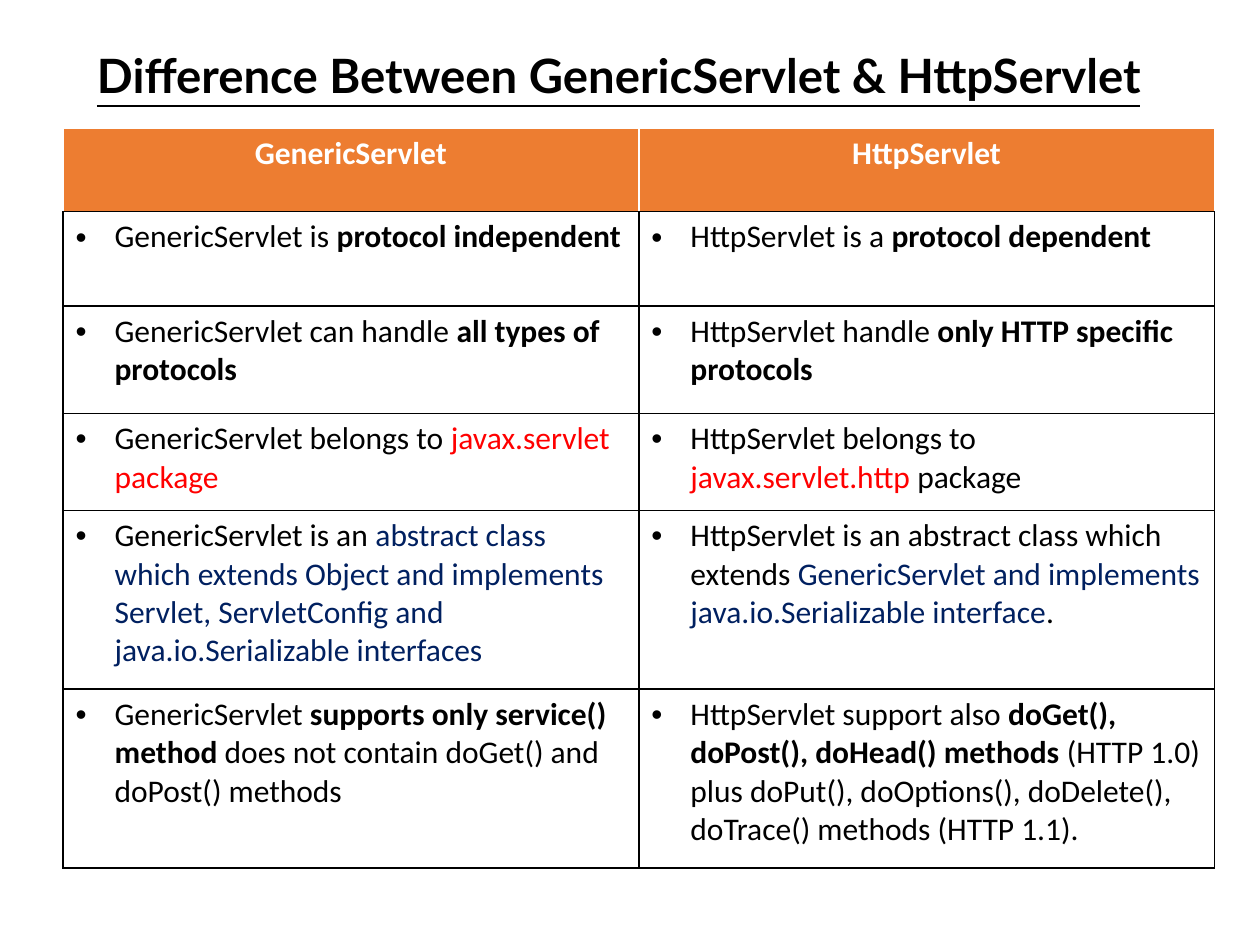
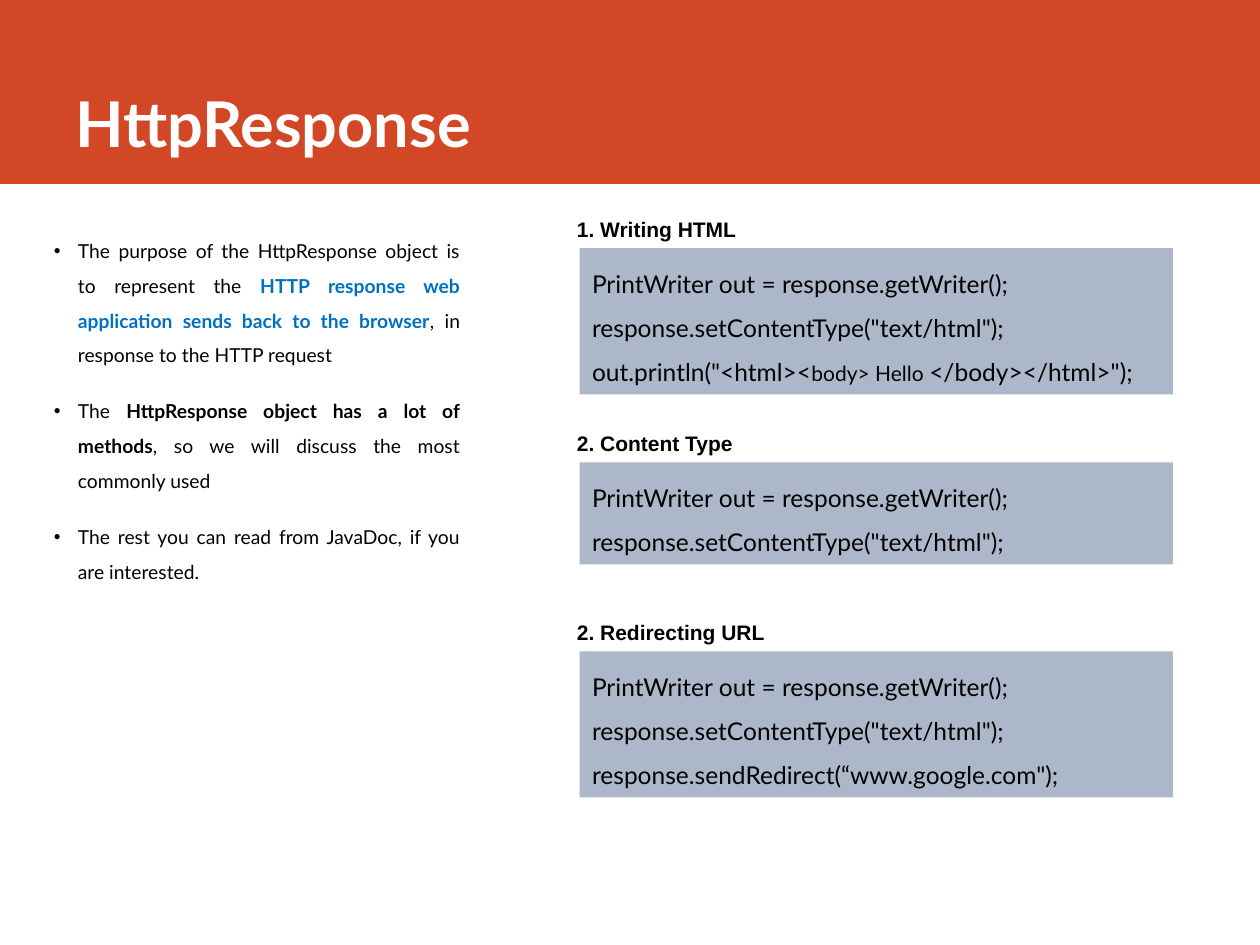
"""Build two slides on servlet classes and the HttpResponse object."""
from lxml.etree import SubElement
from pptx import Presentation
from pptx.dml.color import RGBColor
from pptx.enum.shapes import MSO_SHAPE as Shape
from pptx.enum.text import MSO_ANCHOR as Anchor, PP_ALIGN as Align
from pptx.oxml.ns import qn
from pptx.util import Inches, Pt

COLORS = {
    "black": "000000", "white": "FFFFFF", "header": "ED7D31", "band": "D24726",
    "code": "ACB8CA", "red": "FF0000", "navy": "002060", "blue": "0070C0",
}
STYLES = {
    "bold": {"bold": True},
    "red": {"color": "red"},
    "navy": {"color": "navy"},
    "key": {"color": "blue", "bold": True},
    "small": {"size": 12},
}

COMPARISON_TITLE = "Difference Between GenericServlet & HttpServlet"
COMPARISON_HEADER = ["GenericServlet", "HttpServlet"]
COMPARISON_ROWS = [
    ([("GenericServlet is ",), ("protocol independent", "bold")],
     [("HttpServlet is a ",), ("protocol dependent", "bold")]),
    ([("GenericServlet can handle ",), ("all types of protocols", "bold")],
     [("HttpServlet handle ",), ("only HTTP specific protocols", "bold")]),
    ([("GenericServlet belongs to ",), ("javax.servlet package", "red")],
     [("HttpServlet belongs to ",), ("javax.servlet.http ", "red"), ("package",)]),
    ([("GenericServlet is an ",),
      ("abstract class which extends Object and implements Servlet, "
       "ServletConfig and java.io.Serializable interfaces", "navy")],
     [("HttpServlet is an abstract class which extends ",),
      ("GenericServlet and implements java.io.Serializable interface", "navy"), (".",)]),
    ([("GenericServlet ",), ("supports only service() method ", "bold"),
      ("does not contain doGet() and doPost() methods",)],
     [("HttpServlet support also ",), ("doGet(), doPost(), doHead() methods ", "bold"),
      ("(HTTP 1.0) plus doPut(), doOptions(), doDelete(), doTrace() methods (HTTP 1.1).",)]),
]
ROW_HEIGHTS = [0.66, 0.75, 0.85, 0.77, 1.42, 1.42]
COLUMN_WIDTH = 4.57

RESPONSE_TITLE = "HttpResponse"
RESPONSE_POINTS = [
    [("The purpose of the HttpResponse object is to represent the ",),
     ("HTTP response web application sends back to the browser", "key"),
     (", in response to the HTTP request",)],
    [("The ",), ("HttpResponse object has a lot of methods", "bold"),
     (", so we will discuss the most commonly used",)],
    [("The rest you can read from JavaDoc, if you are interested.",)],
]
WRITER_LINES = [
    [("PrintWriter out = response.getWriter();",)],
    [('response.setContentType("text/html");',)],
]
EXAMPLES = [
    (1.57, "1. Writing HTML", WRITER_LINES + [
        [('out.println("<html><',), ("body> Hello ", "small"), ('</body></html>");',)]]),
    (3.27, "2. Content Type", WRITER_LINES),
    (4.77, "2. Redirecting URL", WRITER_LINES + [
        [('response.sendRedirect(“www.google.com");',)]]),
]
CODE_LINE_HEIGHT = 0.35


def rgb(name):
    return RGBColor.from_string(COLORS[name])


def set_font(font, size=None, face=None, color=None, bold=None):
    if size:
        font.size = Pt(size)
    if face:
        font.name = face
    if color:
        font.color.rgb = rgb(color)
    if bold is not None:
        font.bold = bold


def add_bullet(paragraph, indent):
    properties = paragraph._p.get_or_add_pPr()
    properties.set("marL", str(Inches(indent)))
    properties.set("indent", str(-Inches(indent)))
    color = SubElement(properties, qn("a:buClr"))
    SubElement(color, qn("a:srgbClr"), val=COLORS["black"])
    SubElement(properties, qn("a:buFont"), typeface="Arial")
    SubElement(properties, qn("a:buChar"), char="•")


def write(frame, paragraphs, size, face="Lato", color="black", bold=False,
          align=Align.LEFT, spacing=None, gap=0, indent=None):
    frame.word_wrap = True
    for index, pieces in enumerate(paragraphs):
        paragraph = frame.add_paragraph() if index else frame.paragraphs[0]
        if indent:
            add_bullet(paragraph, indent)
        paragraph.alignment = align
        if spacing:
            paragraph.line_spacing = spacing
        if index and gap:
            paragraph.space_before = Pt(gap)
        set_font(paragraph.font, size, face, color, bold)
        for text, *style in pieces:
            run = paragraph.add_run()
            run.text = text
            for name in style:
                set_font(run.font, **STYLES[name])


def add_text(slide, box, paragraphs, size, anchor=Anchor.TOP, **options):
    frame = slide.shapes.add_textbox(*map(Inches, box)).text_frame
    frame.vertical_anchor = anchor
    write(frame, paragraphs, size, **options)
    return frame


def add_title(slide, text, height, size, **options):
    return add_text(slide, (0.5, 0, 8.82, height), [[(text,)]], size,
                    anchor=Anchor.BOTTOM, bold=True, **options)


def add_rectangle(slide, box, color):
    shape = slide.shapes.add_shape(Shape.RECTANGLE, *map(Inches, box))
    shape.shadow.inherit = False
    shape.fill.solid()
    shape.fill.fore_color.rgb = rgb(color)
    shape.line.fill.background()
    return shape


def format_cell(cell, fill, borders):
    properties = cell._tc.get_or_add_tcPr()
    for side, color in zip("LRTB", borders):
        line = SubElement(properties, qn(f"a:ln{side}"), w=str(Pt(1)))
        SubElement(SubElement(line, qn("a:solidFill")), qn("a:srgbClr"), val=COLORS[color])
    cell.fill.solid()
    cell.fill.fore_color.rgb = rgb(fill)


def build_comparison(slide):
    title = add_title(slide, COMPARISON_TITLE, 0.87, 27, align=Align.CENTER)
    title.paragraphs[0].runs[0].font.underline = True
    columns = len(COMPARISON_HEADER)
    table = slide.shapes.add_table(
        len(ROW_HEIGHTS), columns, Inches(0.5), Inches(1.02),
        Inches(COLUMN_WIDTH * columns), Inches(sum(ROW_HEIGHTS))).table
    table.horz_banding = False
    for column in table.columns:
        column.width = Inches(COLUMN_WIDTH)
    for row, height in zip(table.rows, ROW_HEIGHTS):
        row.height = Inches(height)
    for index, text in enumerate(COMPARISON_HEADER):
        cell = table.cell(0, index)
        format_cell(cell, "header", ["white"] * 3 + ["black"])
        write(cell.text_frame, [[(text,)]], 18, "Calibri", "white", True, Align.CENTER)
    for row_index, row in enumerate(COMPARISON_ROWS, 1):
        for index, pieces in enumerate(row):
            cell = table.cell(row_index, index)
            format_cell(cell, "white", ["black"] * 4)
            write(cell.text_frame, [pieces], 18, "Calibri", indent=0.31)


def build_response(slide):
    add_rectangle(slide, (0, 0, 10, 1.46), "band")
    add_title(slide, RESPONSE_TITLE, 1.32, 36, color="white")
    add_text(slide, (0.33, 1.76, 3.42, 3.05), RESPONSE_POINTS, 11,
             align=Align.JUSTIFY, spacing=1.5, gap=12.3, indent=0.19)
    for top, heading, lines in EXAMPLES:
        add_text(slide, (4.48, top, 3.42, 0.37), [[(heading,)]], 12,
                 face="Arial", bold=True, spacing=1.5)
        height = CODE_LINE_HEIGHT * len(lines) + 0.11
        panel = add_rectangle(slide, (4.6, top + 0.4, 4.71, height), "code")
        panel.text_frame.vertical_anchor = Anchor.TOP
        write(panel.text_frame, lines, 14, spacing=1.5)


def main():
    presentation = Presentation()
    presentation.slide_width, presentation.slide_height = Inches(10), Inches(7.5)
    blank = presentation.slide_layouts[6]
    for build in (build_comparison, build_response):
        build(presentation.slides.add_slide(blank))
    presentation.save("out.pptx")


if __name__ == "__main__":
    main()
